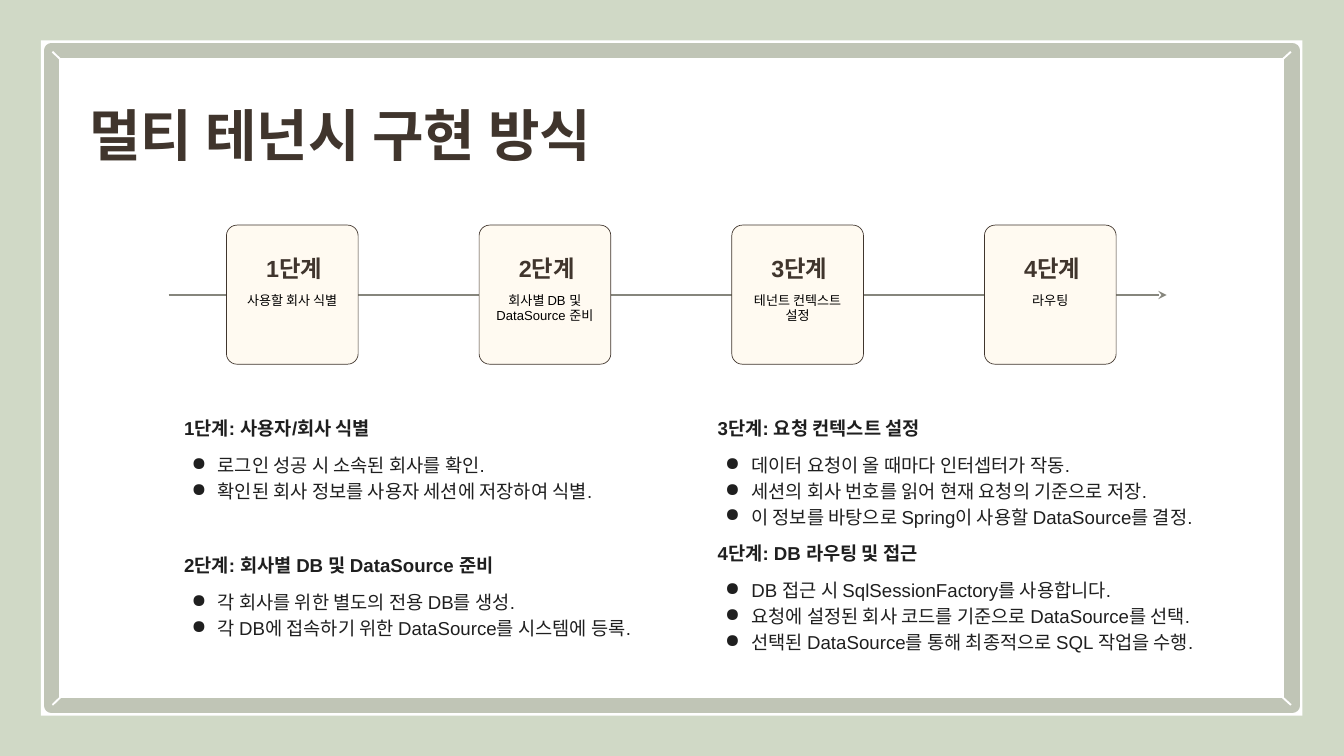
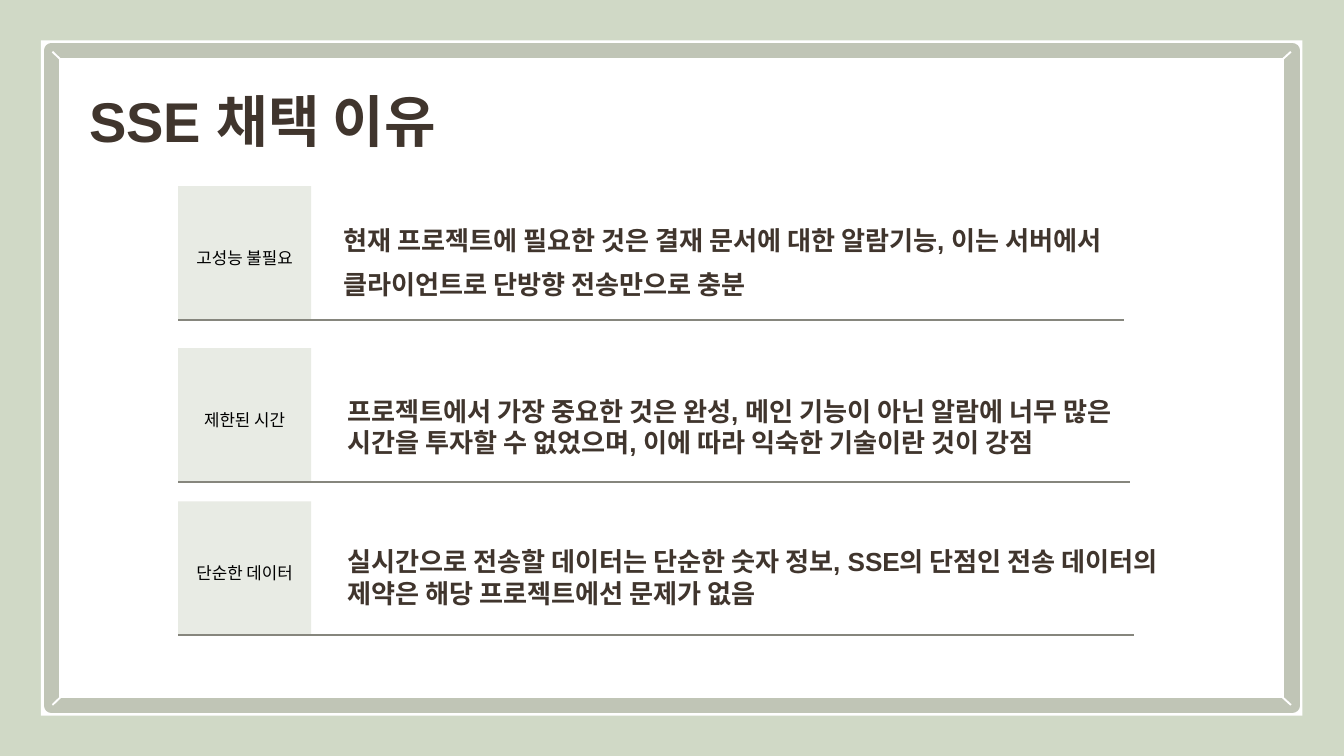
from pptx import Presentation
from pptx import util as u
from pptx.dml.color import RGBColor
from pptx.enum import shapes, text
from pptx.oxml import ns, xmlchemy

PX = 9144
SAGE = RGBColor(0xD0, 0xD9, 0xC6)
FRAME = RGBColor(0xC0, 0xC5, 0xB6)
WHITE = RGBColor(0xFF, 0xFF, 0xFF)
BROWN = RGBColor(0x40, 0x35, 0x2D)
CREAM = RGBColor(0xFF, 0xFA, 0xF1)
RULE = RGBColor(0x86, 0x86, 0x7D)
BADGE = RGBColor(0xE8, 0xEB, 0xE4)
INK = RGBColor(0x1F, 0x1F, 0x1F)
BLACK = RGBColor(0, 0, 0)

STEPS = ["사용할 회사 식별", "회사별 DB 및 DataSource 준비", "테넌트 컨텍스트 설정", "라우팅"]
LEFT_DETAILS = [
    ("1단계: 사용자/회사 식별",
     ["로그인 성공 시 소속된 회사를 확인.",
      "확인된 회사 정보를 사용자 세션에 저장하여 식별."]),
    ("2단계: 회사별 DB 및 DataSource 준비",
     ["각 회사를 위한 별도의 전용 DB를 생성.",
      "각 DB에 접속하기 위한 DataSource를 시스템에 등록."]),
]
RIGHT_DETAILS = [
    ("3단계: 요청 컨텍스트 설정",
     ["데이터 요청이 올 때마다 인터셉터가 작동.",
      "세션의 회사 번호를 읽어 현재 요청의 기준으로 저장.",
      "이 정보를 바탕으로 Spring이 사용할 DataSource를 결정."]),
    ("4단계: DB 라우팅 및 접근",
     ["DB 접근 시 SqlSessionFactory를 사용합니다.",
      "요청에 설정된 회사 코드를 기준으로 DataSource를 선택.",
      "선택된 DataSource를 통해 최종적으로 SQL 작업을 수행."]),
]


def px(*lengths):
    return [length * PX for length in lengths]


def set_frame(frame, insets=(0, 0, 0, 0), anchor=text.MSO_ANCHOR.TOP):
    frame.word_wrap = True
    frame.auto_size = text.MSO_AUTO_SIZE.NONE
    frame.vertical_anchor = anchor
    (frame.margin_left, frame.margin_top,
     frame.margin_right, frame.margin_bottom) = px(*insets)


def style(para, size, color, bold=False, align=text.PP_ALIGN.LEFT, spacing=1.0, font="Arial"):
    para.alignment = align
    para.line_spacing = spacing
    para.font.name = font
    para.font.size = u.Pt(size)
    para.font.bold = bold
    para.font.color.rgb = color


def indent(para, left, hanging=0):
    properties = para._p.get_or_add_pPr()
    properties.set("marL", str(left * PX))
    properties.set("indent", str(-hanging * PX))
    return properties


def add_bullet(para):
    bullet = xmlchemy.OxmlElement("a:buChar")
    bullet.set("char", "●")
    indent(para, 50, 39).append(bullet)


def add_box(page, left, top, width, height, fill, line=None, weight=0,
            kind=shapes.MSO_SHAPE.RECTANGLE):
    box = page.shapes.add_shape(kind, *px(left, top, width, height))
    box.shadow.inherit = False
    box.fill.solid()
    box.fill.fore_color.rgb = fill
    if line is None:
        box.line.fill.background()
    else:
        box.line.color.rgb = line
        box.line.width = u.Pt(weight)
    return box


def add_line(page, start, end, color, weight, arrow=False):
    line = page.shapes.add_connector(shapes.MSO_CONNECTOR.STRAIGHT, *px(*start, *end))
    line.line.color.rgb = color
    line.line.width = u.Pt(weight)
    properties = line.element.spPr
    if arrow:
        tip = xmlchemy.OxmlElement("a:tailEnd")
        tip.set("type", "stealth")
        properties.find(ns.qn("a:ln")).append(tip)
    properties.append(xmlchemy.OxmlElement("a:effectLst"))


def add_label(page, left, top, width, height, words, size, color, **options):
    box = page.shapes.add_textbox(*px(left, top, width, height))
    set_frame(box.text_frame)
    para = box.text_frame.paragraphs[0]
    para.text = words
    style(para, size, color, **options)
    return para


def add_page(deck, heading, top, width):
    page = deck.slides.add_slide(deck.slide_layouts[5])
    add_box(page, 61, 60, 1877, 1005, WHITE)
    add_box(page, 77, 75, 1846, 975, WHITE, FRAME, 16.5)
    for x, inner_x in ((78, 100), (1921, 1898)):
        for y, inner_y in ((77, 98), (1049, 1028)):
            add_line(page, (x, y), (inner_x, inner_y), WHITE, 2)
    title = page.shapes.title
    title.left, title.top, title.width, title.height = px(133, top, width, 141)
    set_frame(title.text_frame)
    para = title.text_frame.paragraphs[0]
    para.text = heading
    style(para, 60, BROWN, bold=True, spacing=1.4)
    title.element.getparent().append(title.element)
    return page


def add_step(page, left, top, number, words):
    card = add_box(page, left, top, 196, 207, CREAM, BROWN, 0.75,
                   shapes.MSO_SHAPE.ROUNDED_RECTANGLE)
    card.adjustments[0] = 0.08
    set_frame(card.text_frame, (10, 95, 10, 5))
    para = card.text_frame.paragraphs[0]
    para.text = words
    style(para, 14, BLACK, align=text.PP_ALIGN.CENTER)
    add_label(page, left + 5, top + 26, 191, 45, f"{number}단계", 25, BROWN,
              bold=True, align=text.PP_ALIGN.CENTER, spacing=1.4)


def add_details(page, left, top, sections, section_gap):
    box = page.shapes.add_textbox(*px(left, top, 781, 400))
    frame = box.text_frame
    set_frame(frame)
    for index, (heading, items) in enumerate(sections):
        para = frame.add_paragraph() if index else frame.paragraphs[0]
        para.text = heading
        style(para, 20, INK, bold=True, spacing=1.15 if index else 1.4)
        if index:
            para.space_before = u.Pt(section_gap)
        for order, item in enumerate(items):
            para = frame.add_paragraph()
            para.text = item
            add_bullet(para)
            style(para, 20, INK, spacing=1.15)
            para.space_before = u.Pt(0 if order else 12)


def add_reason(page, left, top, badge, words, text_top, text_width, spacing, inset, rule_width):
    box = add_box(page, left, top, 198, 200, BADGE)
    set_frame(box.text_frame, (5, 5, 5, 19), text.MSO_ANCHOR.MIDDLE)
    para = box.text_frame.paragraphs[0]
    para.text = badge
    style(para, 18, BLACK, align=text.PP_ALIGN.CENTER, spacing=1.94, font="Calibri")
    para = add_label(page, left + 246, top + text_top, text_width, 94, words, 28, BROWN,
                     bold=True, spacing=spacing)
    indent(para, inset)
    add_line(page, (left, top + 199), (left + rule_width, top + 199), RULE, 1.5)


def build_steps(deck):
    page = add_page(deck, "멀티 테넌시 구현 방식", 109, 852)
    add_line(page, (251, 439), (1736, 439), RULE, 3, arrow=True)
    for index, words in enumerate(STEPS):
        add_step(page, 337 + 376 * index, 335, index + 1, words)
    add_details(page, 274, 607, LEFT_DETAILS, 52)
    add_details(page, 1068, 607, RIGHT_DETAILS, 12)


def build_reasons(deck):
    page = add_page(deck, "SSE 채택 이유", 89, 598)
    add_reason(page, 265, 277, "고성능 불필요",
               "현재 프로젝트에 필요한 것은 결재 문서에 대한 알람기능, 이는 서버에서 "
               "클라이언트로 단방향 전송만으로 충분", 39, 1294, 1.4, 0, 1408)
    add_reason(page, 265, 518, "제한된 시간",
               "프로젝트에서 가장 중요한 것은 완성, 메인 기능이 아닌 알람에 너무 많은 "
               "시간을 투자할 수 없었으며, 이에 따라 익숙한 기술이란 것이 강점",
               70, 1221, 1.0, 6, 1416)
    add_reason(page, 265, 746, "단순한 데이터",
               "실시간으로 전송할 데이터는 단순한 숫자 정보, SSE의 단점인 전송 "
               "데이터의 제약은 해당 프로젝트에선 문제가 없음", 66, 1213, 1.0, 6, 1423)


def main():
    deck = Presentation()
    deck.slide_width, deck.slide_height = px(2000, 1125)
    background = deck.slide_master.background.fill
    background.solid()
    background.fore_color.rgb = SAGE
    build_steps(deck)
    build_reasons(deck)
    deck.save("out.pptx")


if __name__ == "__main__":
    main()
